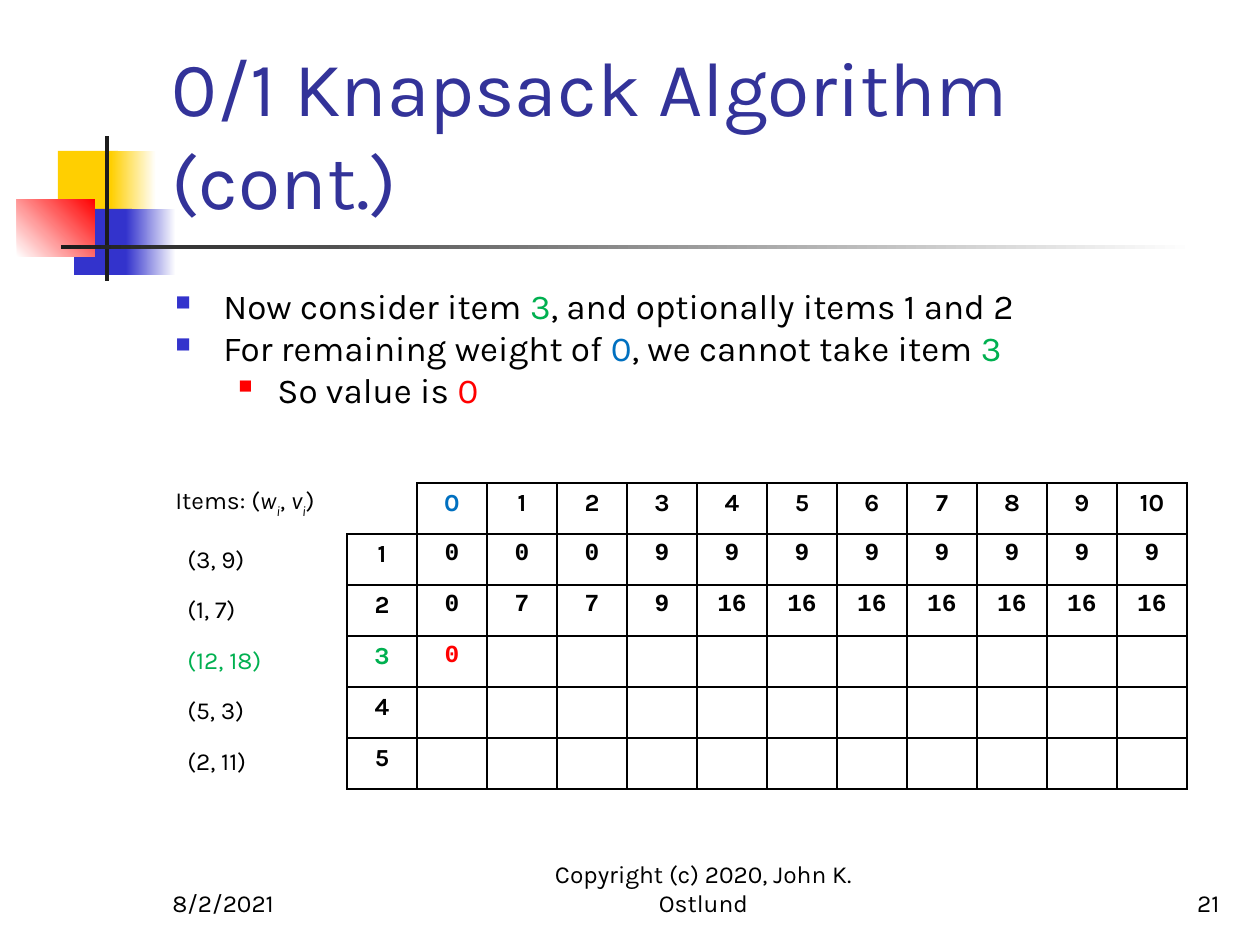
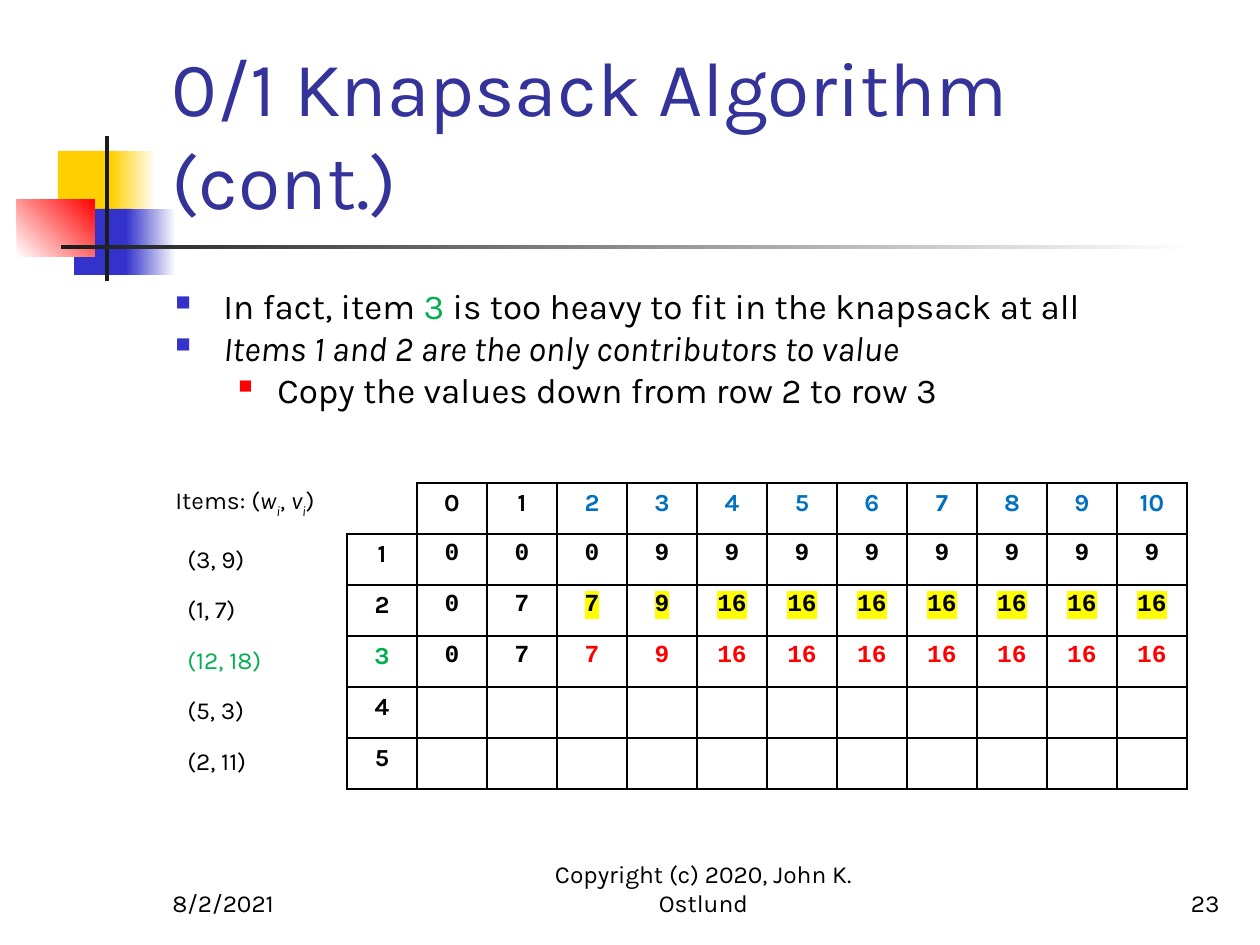
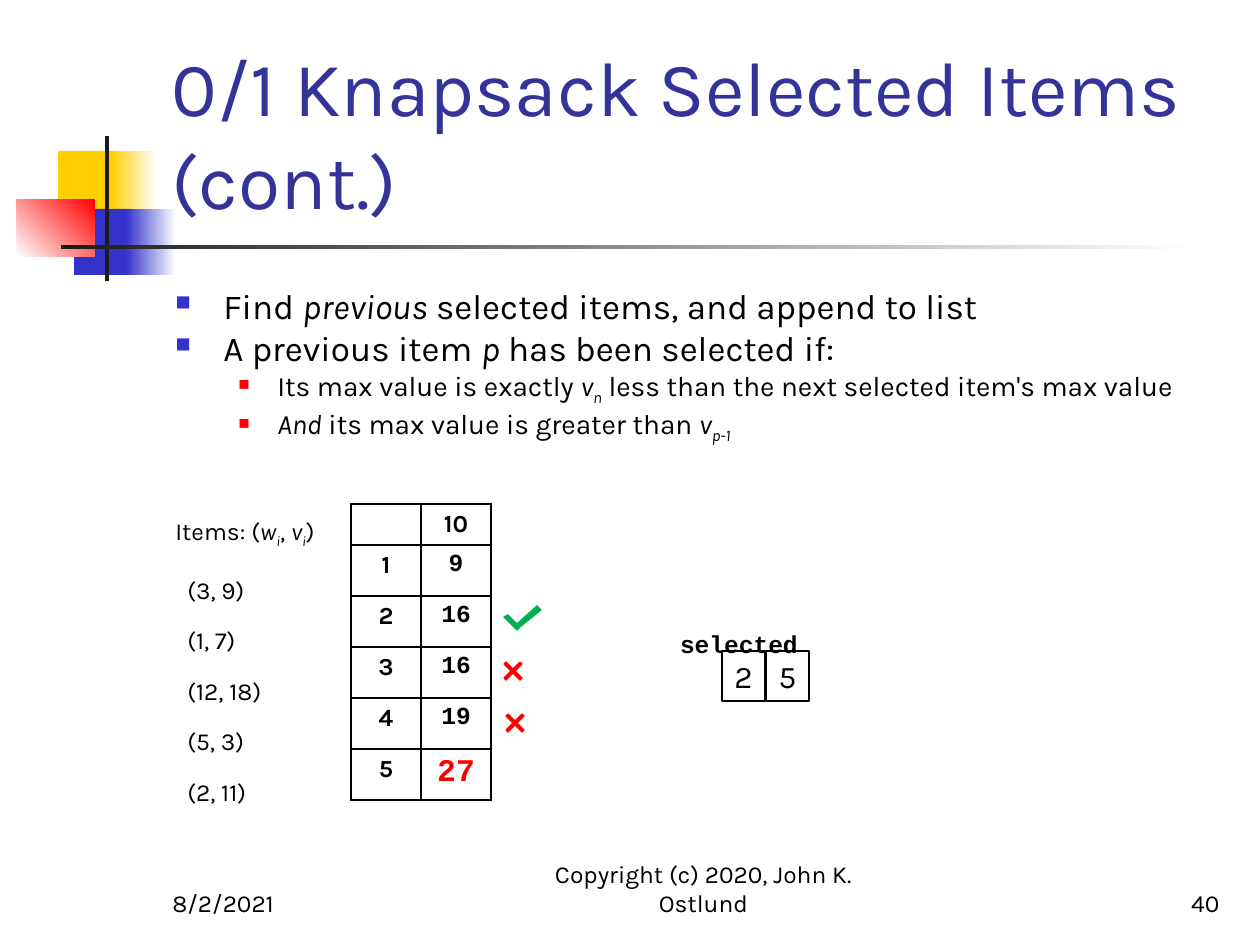
from lxml import etree
from pptx import Presentation, util as u
from pptx.dml.color import RGBColor
from pptx.enum import shapes, text
from pptx.oxml import ns

PX = 914400 / 126
SANS, MONO = "Karla", "Courier New"
BLACK, WHITE, NAVY, INDIGO, GOLD, DARK = "000000", "FFFFFF", "333399", "3333CC", "FFCF01", "1C1C1C"
GREEN, BLUE, RED, YELLOW = "00B050", "0070C0", "FF0000", "FFFF00"
LEFT, MID, RIGHT = text.PP_ALIGN.LEFT, text.PP_ALIGN.CENTER, text.PP_ALIGN.RIGHT
TOP, CENTER, LOW = text.MSO_ANCHOR.TOP, text.MSO_ANCHOR.MIDDLE, text.MSO_ANCHOR.BOTTOM

# left, top, width, height, first colour, last colour, angle
BANDS = [
    (58, 151, 60, 66, GOLD, None, 0),
    (111, 151, 45, 66, GOLD, WHITE, 0),
    (74, 209, 58, 66, INDIGO, None, 0),
    (126, 209, 50, 66, INDIGO, WHITE, 0),
    (17, 199, 78, 58, WHITE, RED, 45),
    (105, 136, 4, 145, DARK, None, 0),
    (61, 245, 1134, 4, DARK, WHITE, 0),
]
TITLE_BOX, BODY_BOX = (159, 29, 1074, 202), (163, 278, 1071, 567)
FOOT_TOP, FOOT_H = 861, 63
DATE, RIGHTS = "8/2/2021", "Copyright (c) 2020, John K. Ostlund"

# margin, first-line indent, bullet colour, bullet size in percent
LEVELS = [(48, -48, INDIGO, 60), (102, -39, RED, 55)]
COL, ROW = 70, 51


def it(word):
    return word, {"italic": True}


def sub(word):
    return word, {"italic": True, "base": -25}


def hue(word, color):
    return word, {"color": color}


HEAD = ["Items: (", it("w"), sub("i"), ", ", it("v"), sub("i"), ")"]
ITEMS = ["(3, 9)", "(1, 7)", "(12, 18)", "(5, 3)", "(2, 11)"]
BEST = [[0] * 3 + [9] * 8, [0, 7, 7, 9] + [16] * 7]

# bullets: level, size, runs; now: weights under study
STEPS = [
    {"title": "0/1 Knapsack Algorithm (cont.)", "page": 21, "gap": 43,
     "bullets": [
         (0, 20, ["Now consider item ", hue("3", GREEN), ", and optionally items 1 and 2"]),
         (0, 20, ["For remaining weight of ", hue("0", BLUE), ", we cannot take item ",
                  hue("3", GREEN)]),
         (1, 20, ["So value is ", hue("0", RED)])],
     "item": 3, "row": [0], "now": range(1), "mark": False},
    {"title": "0/1 Knapsack Algorithm (cont.)", "page": 23, "gap": 43,
     "bullets": [
         (0, 20, ["In fact, item ", hue("3", GREEN), " is too heavy to fit in the knapsack at all"]),
         (0, 20, [it("Items 1 and 2 are the only contributors to value")]),
         (1, 20, ["Copy the values down from row 2 to row 3"])],
     "item": 3, "row": BEST[1], "now": range(2, 11), "mark": True},
    {"title": "0/1 Knapsack Selected Items (cont.)", "page": 40, "gap": 41,
     "bullets": [
         (0, 20, ["Find ", it("previous"), " selected items, and append to list"]),
         (0, 20, ["A previous item ", it("p"), " has been selected if:"]),
         (1, 16, ["Its max value is exactly ", it("v"), sub("n"),
                  " less than the next selected item's max value"]),
         (1, 16, [it("And"), " its max value is greater than ", it("v"), sub("p-1")])],
     "item": None},
]
LAST = [9, 16, 16, 19, 27]
PICKED = [2, 5]
CHECK = [(537, 606), (517, 624), (508, 615), (504, 617), (517, 630), (520, 627), (541, 610)]
CROSSES = [(513, 671), (515, 723)]
ARM = [(9, -7), (7, -9), (0, -2)]


def px(*nums):
    return [u.Emu(round(n * PX)) for n in nums]


def rgb(code):
    return RGBColor.from_string(code)


def node(parent, tag, **attrs):
    return etree.SubElement(parent, ns.qn("a:" + tag), attrs)


def write(para, runs, size=14, font=SANS, color=BLACK, bold=False, italic=False,
          base=0, mark=None, align=LEFT):
    """Add runs to a paragraph; a run is plain text or (text, its own format)."""
    para.alignment = align
    for part in [runs] if isinstance(runs, str) else runs:
        word, own = (part, {}) if isinstance(part, str) else part
        run = para.add_run()
        run.text = word
        face = run.font
        face.size, face.name, face.bold = u.Pt(size), font, bold
        face.italic = own.get("italic", italic)
        face.color.rgb = rgb(own.get("color", color))
        shift = own.get("base", base)
        if shift:
            face._element.set("baseline", str(shift * 1000))
        if mark:
            glow = node(face._element, "highlight")
            node(glow, "srgbClr", val=mark)
            face._element.find(ns.qn("a:solidFill")).addnext(glow)


def frame(shape, anchor=TOP, wrap=True):
    body = shape.text_frame
    body.word_wrap, body.auto_size = wrap, text.MSO_AUTO_SIZE.NONE
    body.vertical_anchor = anchor
    return body


def label(slide, box, words, anchor=LOW, inset=True, **fmt):
    body = frame(slide.shapes.add_textbox(*px(*box)), anchor)
    if not inset:
        body.margin_left = body.margin_top = body.margin_right = body.margin_bottom = 0
    write(body.paragraphs[0], words, **fmt)


def paint(shape, fill=None, line=None, width=0.75):
    shape.shadow.inherit = False
    if fill:
        shape.fill.solid()
        shape.fill.fore_color.rgb = rgb(fill)
    else:
        shape.fill.background()
    if line:
        shape.line.color.rgb, shape.line.width = rgb(line), u.Pt(width)
    else:
        shape.line.fill.background()


def brand(layout, slide):
    """Draw the bands and move them to the layout, which all slides share."""
    for *box, first, last, angle in BANDS:
        band = slide.shapes.add_shape(shapes.MSO_SHAPE.RECTANGLE, *px(*box))
        paint(band, first)
        if last:
            band.fill.gradient()
            band.fill.gradient_angle = angle
            for stop, code in zip(band.fill.gradient_stops, (first, last)):
                stop.color.rgb = rgb(code)
        layout.shapes.element.append(band.element)


def indent(para, margin, first=0):
    props = para._p.get_or_add_pPr()
    props.set("marL", str(px(margin)[0]))
    props.set("indent", str(px(first)[0]))
    return props


def fill_body(slide, step):
    body = frame(slide.shapes.add_textbox(*px(*BODY_BOX)))
    para = body.paragraphs[0]
    for level, size, runs in step["bullets"]:
        margin, first, color, pct = LEVELS[level]
        para.level = level
        props = indent(para, margin, first)
        node(node(props, "buClr"), "srgbClr", val=color)
        node(props, "buSzPct", val=str(pct * 1000))
        node(props, "buChar", char="■")
        write(para, runs, size=size)
        para = body.add_paragraph()
    para.space_before = u.Pt(step["gap"])
    write(para, HEAD)
    for num, item in enumerate(ITEMS, 1):
        para = body.add_paragraph()
        para.space_before = u.Pt(14.4 if num == 1 else 12)
        indent(para, 12)
        write(para, item, color=GREEN if num == step["item"] else BLACK)


def edge(cell, open_sides):
    props = cell._tc.get_or_add_tcPr()
    for spot, side in enumerate("LRTB"):
        line = etree.Element(ns.qn("a:ln" + side), w="12700")
        if side in open_sides:
            node(line, "noFill")
        else:
            node(node(line, "solidFill"), "srgbClr", val=BLACK)
        props.insert(spot, line)


def grid(slide, left, top, rows, head=ROW, corner=""):
    """Draw a table of (value, format) cells; corner names the open sides of the first."""
    wide, high = len(rows[0]), len(rows)
    box = px(left, top, COL * wide, head + ROW * (high - 1))
    table = slide.shapes.add_table(high, wide, *box).table
    table.first_row = table.horz_banding = False
    for col in table.columns:
        col.width = px(COL)[0]
    for r, row in enumerate(rows):
        table.rows[r].height = px(ROW if r else head)[0]
        for c, (value, fmt) in enumerate(row):
            cell = table.cell(r, c)
            cell.fill.background()
            edge(cell, "" if r or c else corner)
            if value is None:
                cell.margin_top = cell.margin_bottom = 0
            else:
                write(cell.text_frame.paragraphs[0], str(value),
                      **{"bold": True, "align": MID, **fmt})


def matrix(step):
    item, now = step["item"], step["now"]
    rows = [[(None, {})] + [(w, {"color": BLUE if w in now else BLACK}) for w in range(11)]]
    for num in range(1, len(ITEMS) + 1):
        row = [(num, {"color": GREEN if num == item else BLACK})]
        known = (BEST + [step["row"]])[num - 1] if num <= item else []
        for w in range(11):
            fmt = {"font": MONO}
            if w in now and num == item:
                fmt["color"] = RED
            if w in now and num == item - 1 and step["mark"]:
                fmt["mark"] = YELLOW
            row.append((known[w] if w < len(known) else None, fmt))
        rows.append(row)
    return rows


def outline(slide, points, color):
    pen = slide.shapes.build_freeform(*points[0], scale=PX)
    pen.add_line_segments(points[1:], close=True)
    paint(pen.convert_to_shape(), color, color)


def choice(slide):
    """Draw the last column, its marks and the list of selected items."""
    names = [[(None, {})]] + [[(num, {})] for num in range(1, len(LAST) + 1)]
    values = [[(10, {})]] + [[(value, {"font": MONO})] for value in LAST]
    values[-1][0][1].update(size=18, color=RED)
    for spot, rows in enumerate((names, values)):
        grid(slide, 351 + COL * spot, 504, rows, head=41)
    outline(slide, CHECK, GREEN)
    for x, y in CROSSES:
        points, arm = [], ARM
        for _ in range(4):
            points += [(x + dx, y + dy) for dx, dy in arm]
            arm = [(dy, -dx) for dx, dy in arm]
        outline(slide, points, RED)
    label(slide, (680, 629, 130, 28), "selected", TOP, False, font=MONO, bold=True)
    for spot, num in enumerate(PICKED):
        box = slide.shapes.add_shape(shapes.MSO_SHAPE.RECTANGLE, *px(722 + 44 * spot, 651, 43, 50))
        paint(box, line=BLACK, width=1.5)
        write(frame(box, CENTER, False).paragraphs[0], str(num), size=18, align=MID)


def main():
    deck = Presentation()
    deck.slide_width, deck.slide_height = px(1260, 945)
    layout = deck.slide_layouts[5]
    for step in STEPS:
        slide = deck.slides.add_slide(layout)
        if step is STEPS[0]:
            brand(layout, slide)
        title = slide.shapes.title
        title.left, title.top, title.width, title.height = px(*TITLE_BOX)
        write(frame(title, LOW).paragraphs[0], step["title"], size=44, color=NAVY)
        fill_body(slide, step)
        if step["item"]:
            grid(slide, 347, 483, matrix(step), corner="LT")
        else:
            choice(slide)
        for left, width, words, align in [(160, 262, DATE, LEFT), (504, 399, RIGHTS, MID),
                                          (970, 262, str(step["page"]), RIGHT)]:
            label(slide, (left, FOOT_TOP, width, FOOT_H), words, align=align)
    deck.save("out.pptx")


if __name__ == "__main__":
    main()
